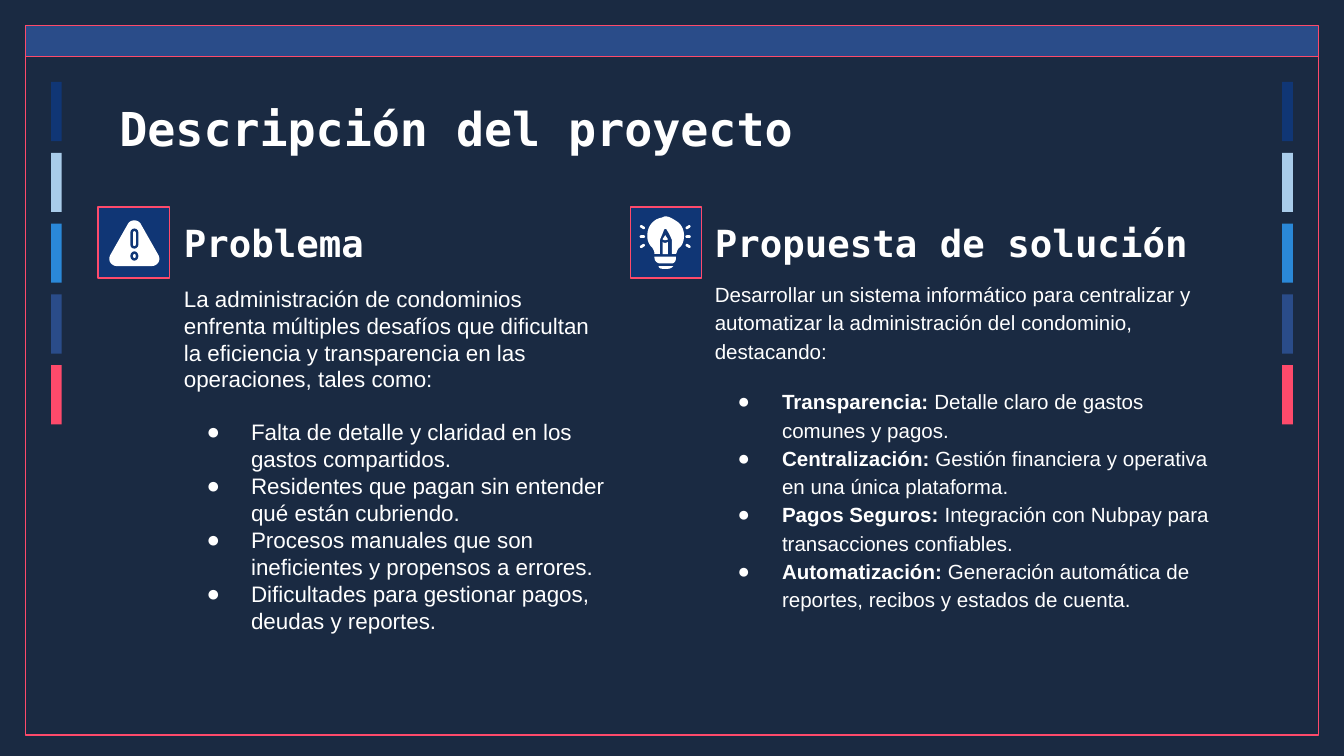
from pptx import Presentation
from pptx.dml.color import RGBColor
from pptx.enum.shapes import MSO_SHAPE
from pptx.enum.text import MSO_ANCHOR
from pptx.oxml import parse_xml
from pptx.oxml.ns import nsdecls
from pptx.util import Inches, Pt

RECT, PILL, OVAL = MSO_SHAPE.RECTANGLE, MSO_SHAPE.ROUNDED_RECTANGLE, MSO_SHAPE.OVAL
TOP, BOTTOM = MSO_ANCHOR.TOP, MSO_ANCHOR.BOTTOM

NIGHT, NAVY, STEEL, PINK, WHITE = "1A2A42", "103675", "2A4C89", "FE4A6B", "FFFFFF"
BAR_COLORS = [NAVY, "A9CCEA", "2A88D8", STEEL, PINK]
MONO, SANS = "DejaVu Sans Mono", "Arial"

TITLE = "Descripción del proyecto"
COLUMNS = [
    {
        "icon_x": 0.73, "text_x": 1.27, "heading": "Problema", "heading_w": 3.17,
        "body_box": (2.02, 3.36, 3.01), "size": 12, "spacing": 1.0, "gap": 14,
        "intro": "La administración de condominios enfrenta múltiples desafíos que "
                 "dificultan la eficiencia y transparencia en las operaciones, tales como:",
        "bullets": [
            ("", "Falta de detalle y claridad en los gastos compartidos."),
            ("", "Residentes que pagan sin entender qué están cubriendo."),
            ("", "Procesos manuales que son ineficientes y propensos a errores."),
            ("", "Dificultades para gestionar pagos, deudas y reportes."),
        ],
    },
    {
        "icon_x": 4.69, "text_x": 5.22, "heading": "Propuesta de solución",
        "heading_w": 4.18,
        "body_box": (1.97, 3.98, 2.82), "size": 11, "spacing": 1.15, "gap": 12,
        "intro": "Desarrollar un sistema informático para centralizar y automatizar "
                 "la administración del condominio, destacando:",
        "bullets": [
            ("Transparencia:", " Detalle claro de gastos comunes y pagos."),
            ("Centralización:", " Gestión financiera y operativa en una única plataforma."),
            ("Pagos Seguros:", " Integración con Nubpay para transacciones confiables."),
            ("Automatización:", " Generación automática de reportes, recibos y estados de cuenta."),
        ],
    },
]
ICON_Y, ICON_SIZE = 1.54, 0.53

# Outlines: a pair is a line to that point, six numbers are a cubic curve.
TRIANGLE = [(1, 1.64), (0.98, 1.64, 0.96, 1.65, 0.95, 1.67), (0.82, 1.9),
            (0.8, 1.94, 0.83, 1.98, 0.87, 1.98), (1.13, 1.98),
            (1.17, 1.98, 1.2, 1.94, 1.18, 1.9), (1.05, 1.67),
            (1.04, 1.65, 1.02, 1.64, 1, 1.64)]
ALERT_MARKS = [
    (PILL, (0.97, 1.7, 0.06, 0.15), NAVY), (PILL, (0.99, 1.72, 0.02, 0.11), WHITE),
    (OVAL, (0.97, 1.87, 0.06, 0.07), NAVY), (OVAL, (0.99, 1.89, 0.02, 0.03), WHITE),
]
BULB_PARTS = [
    # glass, with the pencil-shaped notch
    [(4.95, 1.61), (4.94, 1.61, 4.93, 1.62, 4.92, 1.62),
     (4.87, 1.63, 4.83, 1.67, 4.82, 1.72), (4.81, 1.77, 4.82, 1.81, 4.85, 1.84),
     (4.86, 1.85, 4.87, 1.87, 4.87, 1.89), (4.91, 1.89), (4.91, 1.79),
     (4.91, 1.78, 4.94, 1.72, 4.94, 1.71), (4.95, 1.7, 4.96, 1.7, 4.96, 1.71),
     (4.97, 1.72, 5, 1.78, 5, 1.79), (5, 1.89), (5.03, 1.89),
     (5.04, 1.87, 5.04, 1.85, 5.06, 1.84), (5.08, 1.82, 5.09, 1.79, 5.09, 1.75),
     (5.09, 1.71, 5.07, 1.67, 5.04, 1.65), (5.01, 1.63, 4.98, 1.61, 4.95, 1.61)],
    # pencil body and tip
    [(4.93, 1.8), (4.93, 1.89), (4.97, 1.89), (4.97, 1.8),
     (4.96, 1.81, 4.94, 1.81, 4.93, 1.8)],
    [(4.95, 1.75), (4.93, 1.78), (4.94, 1.79, 4.96, 1.79, 4.97, 1.78)],
    # socket and cap
    [(4.87, 1.91), (4.87, 1.92), (4.87, 1.94, 4.89, 1.96, 4.91, 1.96), (5, 1.96),
     (5.02, 1.96, 5.03, 1.94, 5.03, 1.92), (5.03, 1.91)],
    [(4.9, 1.98), (4.9, 1.99, 4.91, 2, 4.93, 2), (4.97, 2),
     (4.99, 2, 5, 1.99, 5.01, 1.98)],
]
RAY_XS, RAY_Y, RAY_PITCH, RAY_TILT = (4.78, 5.12), 1.76, 0.07, 32


def rgb(color):
    return RGBColor.from_string(color)


def paint(sp, fill, line=None):
    sp.shadow.inherit = False
    sp.fill.solid()
    sp.fill.fore_color.rgb = rgb(fill)
    if line:
        sp.line.color.rgb = rgb(line)
        sp.line.width = Pt(0.75)
    else:
        sp.line.fill.background()


def add_block(shapes, kind, box, fill, line=None):
    sp = shapes.add_shape(kind, *map(Inches, box))
    paint(sp, fill, line)
    if kind == PILL:
        sp.adjustments[0] = 0.5
    return sp


def flatten(outline, steps=8):
    """Turn an outline of lines and cubic curves into points."""
    points = [outline[0]]
    for seg in outline[1:]:
        if len(seg) == 2:
            points.append(seg)
            continue
        controls = [points[-1], seg[:2], seg[2:4], seg[4:]]
        for i in range(1, steps + 1):
            t = i / steps
            weights = ((1 - t) ** 3, 3 * t * (1 - t) ** 2, 3 * t * t * (1 - t), t ** 3)
            points.append(tuple(sum(w * c[axis] for w, c in zip(weights, controls))
                                for axis in (0, 1)))
    return points


def add_outline(shapes, outline):
    points = [(Inches(x), Inches(y)) for x, y in flatten(outline)]
    builder = shapes.build_freeform(*points[0])
    builder.add_line_segments(points[1:], close=True)
    paint(builder.convert_to_shape(), WHITE)


def add_text_box(shapes, box, anchor=TOP):
    tf = shapes.add_textbox(*map(Inches, box)).text_frame
    tf.word_wrap = True
    tf.vertical_anchor = anchor
    tf.margin_left = tf.margin_right = tf.margin_top = tf.margin_bottom = Inches(0.1)
    return tf


def add_run(p, text, size, font, bold=False):
    r = p.add_run()
    r.text = text
    r.font.size, r.font.name, r.font.bold = Pt(size), font, bold
    r.font.color.rgb = rgb(WHITE)


def make_bullet(p):
    pPr = p._p.get_or_add_pPr()
    pPr.set("marL", str(Inches(0.5)))
    pPr.set("indent", str(Inches(-0.33)))
    for xml in (f'<a:buClr {nsdecls("a")}><a:srgbClr val="{WHITE}"/></a:buClr>',
                f'<a:buFont {nsdecls("a")} typeface="{SANS}"/>',
                f'<a:buChar {nsdecls("a")} char="●"/>'):
        pPr.append(parse_xml(xml))


def add_column(shapes, col):
    x = col["text_x"]
    top, width, height = col["body_box"]
    tf = add_text_box(shapes, (x, top, width, height))
    p = tf.paragraphs[0]
    p.line_spacing = col["spacing"]
    add_run(p, col["intro"], col["size"], SANS)
    for i, (label, text) in enumerate(col["bullets"]):
        p = tf.add_paragraph()
        make_bullet(p)
        p.line_spacing = col["spacing"]
        p.space_before = Pt(0 if i else col["gap"])
        if label:
            add_run(p, label, col["size"], SANS, bold=True)
        add_run(p, text, col["size"], SANS)
    tf = add_text_box(shapes, (x, ICON_Y, col["heading_w"], ICON_SIZE), BOTTOM)
    add_run(tf.paragraphs[0], col["heading"], 20, MONO, bold=True)
    add_block(shapes, RECT, (col["icon_x"], ICON_Y, ICON_SIZE, ICON_SIZE), NAVY, PINK)


prs = Presentation()
prs.slide_width = Inches(10)
prs.slide_height = prs.slide_width * 9 // 16
s = prs.slides.add_slide(prs.slide_layouts[6])
s.background.fill.solid()
s.background.fill.fore_color.rgb = rgb(NIGHT)

add_block(s.shapes, RECT, (0.19, 0.38, 9.62, 5.09), NIGHT, PINK)
add_block(s.shapes, RECT, (0.19, 0.19, 9.62, 0.23), STEEL, PINK)
for bar_x in (0.38, 9.54):
    for i, color in enumerate(BAR_COLORS):
        add_block(s.shapes, RECT, (bar_x, 0.61 + 0.527 * i, 0.08, 0.44), color)

title = add_text_box(s.shapes, (0.79, 0.64, 8.43, 0.63))
add_run(title.paragraphs[0], TITLE, 25, MONO, bold=True)
for col in COLUMNS:
    add_column(s.shapes, col)

alert = s.shapes.add_group_shape().shapes
add_outline(alert, TRIANGLE)
for kind, box, color in ALERT_MARKS:
    add_block(alert, kind, box, color)

bulb = s.shapes.add_group_shape().shapes
for outline in BULB_PARTS:
    add_outline(bulb, outline)
for side, ray_x in zip((1, -1), RAY_XS):
    for row in (-1, 0, 1):
        box = (ray_x - 0.02, RAY_Y - 0.01 + RAY_PITCH * row, 0.04, 0.02)
        add_block(bulb, PILL, box, WHITE).rotation = -side * row * RAY_TILT

prs.save("out.pptx")
